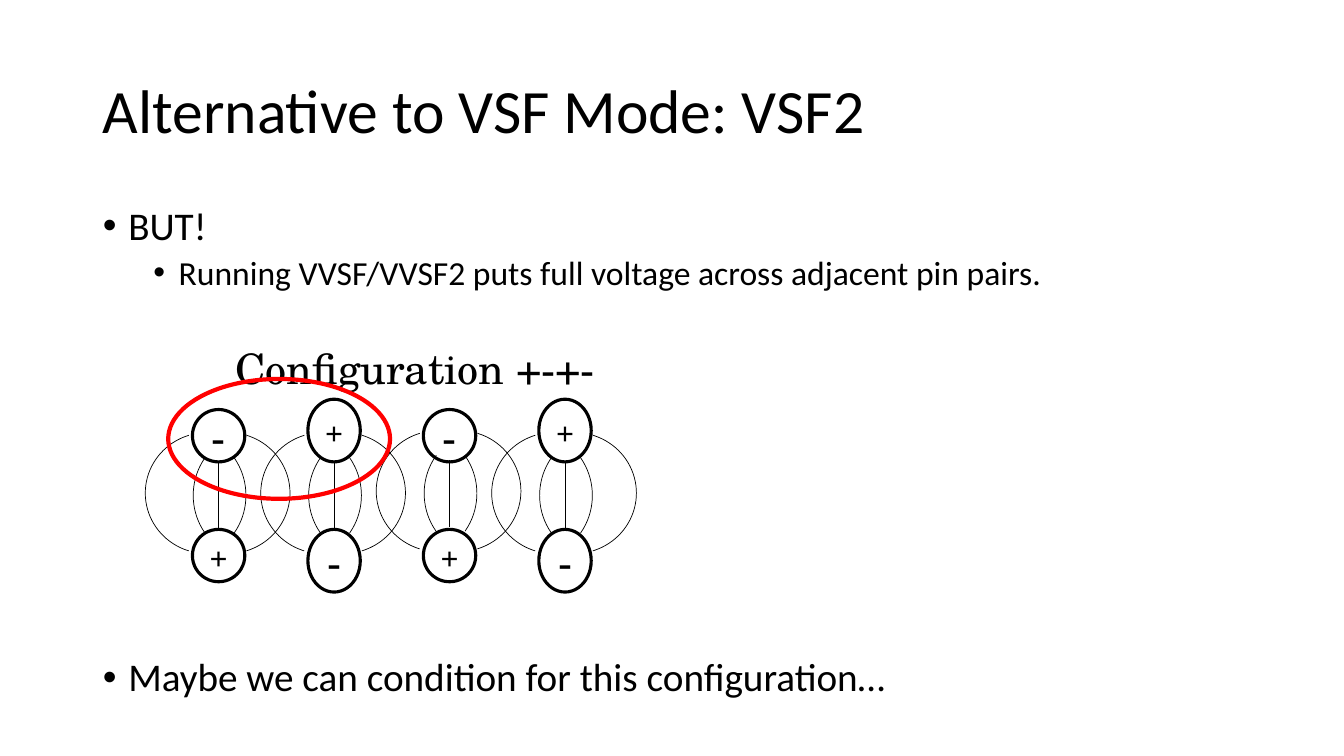
from lxml import etree
from pptx import Presentation
from pptx.dml.color import RGBColor
from pptx.enum.shapes import MSO_CONNECTOR, MSO_SHAPE
from pptx.enum.text import MSO_ANCHOR, MSO_AUTO_SIZE, PP_ALIGN
from pptx.oxml.ns import qn
from pptx.util import Cm, Pt

ARC, OVAL = MSO_SHAPE.ARC, MSO_SHAPE.OVAL
STRAIGHT = MSO_CONNECTOR.STRAIGHT
LEFT, CENTER = PP_ALIGN.LEFT, PP_ALIGN.CENTER
MIDDLE, NO_AUTOFIT = MSO_ANCHOR.MIDDLE, MSO_AUTO_SIZE.NONE

BLACK = RGBColor(0, 0, 0)
RED = RGBColor(255, 0, 0)
SANS, SERIF = "Calibri", "TeX Gyre Schola"

# Lengths in centimetres
FIRST_PAIR_X, PAIR_PITCH = 5.51, 2.91
PIN_WIDTH, PIN_HEIGHTS = 1.32, (1.32, 1.58)
TOP_PIN_BOTTOM, BOTTOM_PIN_TOP = 11.64, 13.34
SIGN_SIZES = {"+": 20, "-": 30}

# Field lines: top, width, height, start and end angle
INNER = (10.82, 3.33, 3.33, 324.74, 34.83)
OUTER = (10.9, 3.12, 3.05, 287.71, 72.44)


def place(sp, left, top, width, height):
    sp.left, sp.top, sp.width, sp.height = Cm(left), Cm(top), Cm(width), Cm(height)


def format_paragraph(p, font, size):
    for r in p.runs:
        r.font.name = font
        r.font.size = Pt(size)
        r.font.color.rgb = BLACK


def format_bullet(p, size, indent, space_before):
    format_paragraph(p, SANS, size)
    p.line_spacing = 0.9
    p.space_before = Pt(space_before)
    pPr = p._p.get_or_add_pPr()
    pPr.set("marL", str(Cm(indent)))
    pPr.set("indent", str(-Cm(0.64)))
    etree.SubElement(pPr, qn("a:buFont")).set("typeface", "Arial")
    etree.SubElement(pPr, qn("a:buChar")).set("char", "•")


def add_outline(slide, kind, box, weight, color=BLACK):
    """Add an unfilled shape."""
    left, top, width, height = map(Cm, box)
    sp = slide.shapes.add_shape(kind, left, top, width, height)
    sp.shadow.inherit = False
    sp.fill.background()
    sp.line.color.rgb = color
    sp.line.width = Pt(weight)
    return sp


def add_pin(slide, x, top, height, sign):
    box = (x - PIN_WIDTH / 2, top, PIN_WIDTH, height)
    sp = add_outline(slide, OVAL, box, 2.25)
    tf = sp.text_frame
    tf.word_wrap = False
    tf.vertical_anchor = MIDDLE
    p = tf.paragraphs[0]
    p.text = sign
    p.alignment = CENTER
    format_paragraph(p, SERIF, SIGN_SIZES[sign])


def add_field_arc(slide, left, curve, shift):
    top, width, height, start, end = curve
    sp = add_outline(slide, ARC, (left, top + shift, width, height), 0.5)
    # Arc adjustments count 60000 units to the degree, scaled by 100000
    sp.adjustments[0] = start * 0.6
    sp.adjustments[1] = end * 0.6
    return sp


def add_field_lines(slide, x, shift):
    add_field_arc(slide, x - 2.64, INNER, shift)
    mirrored = add_field_arc(slide, x - 0.64, INNER, shift)
    mirrored.element.spPr.find(qn("a:xfrm")).set("flipH", "1")
    add_field_arc(slide, x - 1.32, OUTER, shift)
    add_field_arc(slide, x - 1.85, OUTER, shift).rotation = 180
    ends = map(Cm, (x, TOP_PIN_BOTTOM + shift, x, BOTTOM_PIN_TOP + shift))
    line = slide.shapes.add_connector(STRAIGHT, *ends)
    line.line.color.rgb = BLACK
    line.line.width = Pt(0.5)
    etree.SubElement(line.element.spPr, qn("a:effectLst"))


def add_pin_pair(slide, index):
    x = FIRST_PAIR_X + index * PAIR_PITCH
    height = PIN_HEIGHTS[index % 2]
    upper, lower = ("-+", "+-")[index % 2]
    add_pin(slide, x, TOP_PIN_BOTTOM - height, height, upper)
    add_pin(slide, x, BOTTOM_PIN_TOP, height, lower)
    add_field_lines(slide, x, -0.05 if index == 2 else 0)


def add_label(slide, text):
    sp = slide.shapes.add_textbox(Cm(5.69), Cm(8.51), Cm(9.91), Cm(1.55))
    sp.text_frame.text = text
    format_paragraph(sp.text_frame.paragraphs[0], SERIF, 30)


def fill_title(slide, text):
    title = slide.shapes.title
    place(title, 2.34, 1.02, 29.21, 3.68)
    tf = title.text_frame
    tf.text = text
    tf.auto_size = NO_AUTOFIT
    tf.vertical_anchor = MIDDLE
    p = tf.paragraphs[0]
    p.alignment = LEFT
    p.line_spacing = 0.9
    format_paragraph(p, SANS, 44)


def fill_body(slide):
    body = slide.placeholders[1]
    place(body, 2.34, 5.08, 29.21, 13.69)
    tf = body.text_frame
    tf.text = "\n".join((
        "BUT!",
        "Running VVSF/VVSF2 puts full voltage across adjacent pin pairs.",
        "Maybe we can condition for this configuration…",
    ))
    tf.auto_size = NO_AUTOFIT
    but, voltage, condition = tf.paragraphs
    voltage.level = 1
    format_bullet(but, 28, 0.64, 10)
    format_bullet(voltage, 24, 1.91, 5)
    format_bullet(condition, 28, 0.64, 261)  # leaves room for the diagram


def main():
    prs = Presentation()
    prs.slide_width, prs.slide_height = Cm(33.87), Cm(19.05)
    slide = prs.slides.add_slide(prs.slide_layouts[1])
    fill_title(slide, "Alternative to VSF Mode: VSF2")
    fill_body(slide)
    for index in range(4):
        add_pin_pair(slide, index)
    add_label(slide, "Configuration +-+-")
    add_outline(slide, OVAL, (4.24, 9.55, 5.59, 3.02), 3, RED)
    prs.save("out.pptx")


if __name__ == "__main__":
    main()
